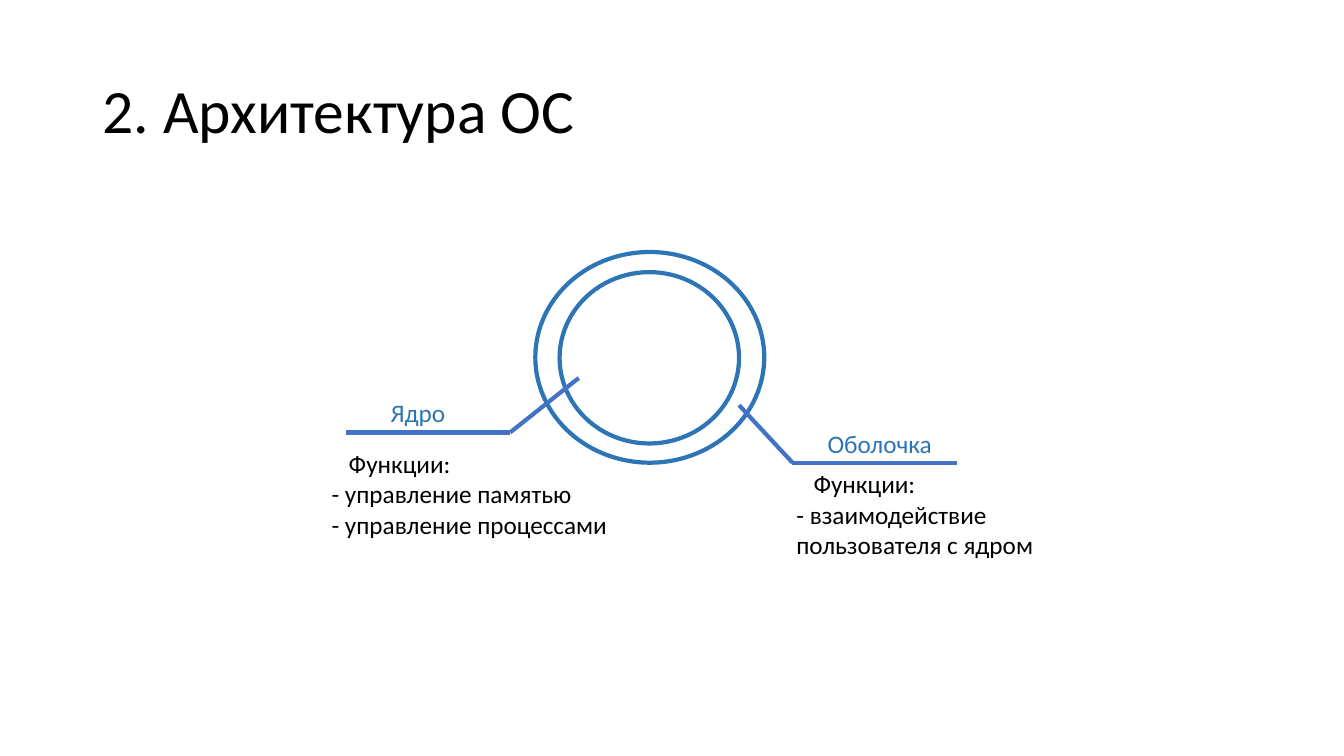
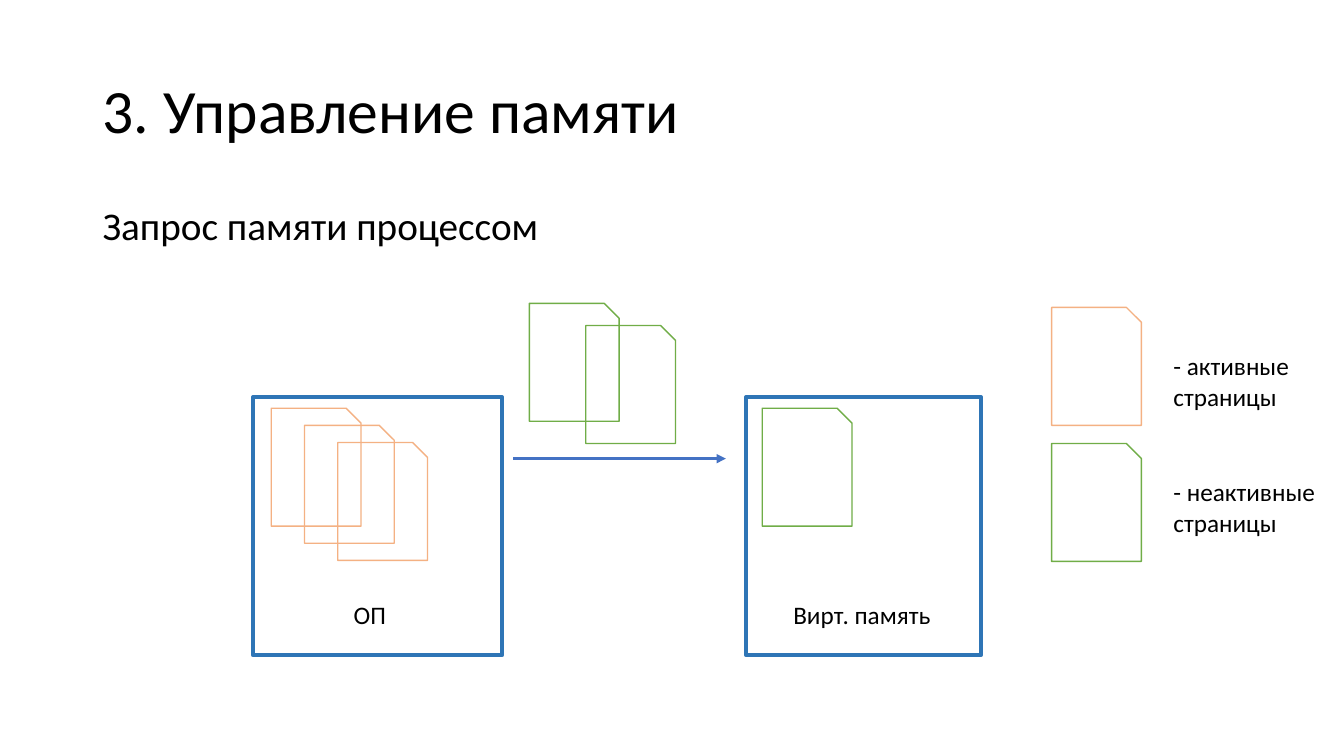
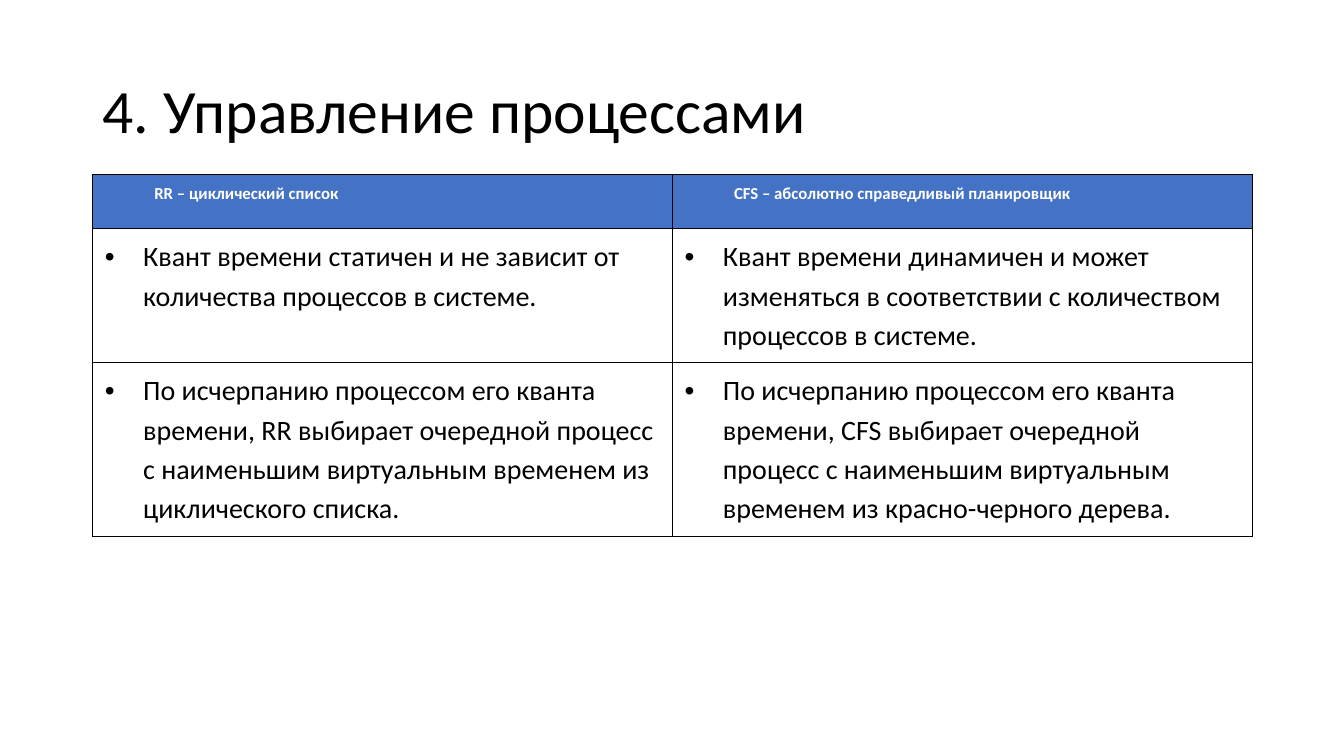
"""Builds three slides on operating system structure, memory and processes."""
from lxml.etree import SubElement
from pptx import Presentation
from pptx.dml.color import RGBColor
from pptx.enum.shapes import MSO_CONNECTOR, MSO_SHAPE
from pptx.enum.text import MSO_ANCHOR, PP_ALIGN
from pptx.oxml.ns import qn
from pptx.util import Inches, Pt

THEME = {
    "font": "Calibri",
    "black": "000000", "white": "FFFFFF", "blue": "2E75B6",
    "accent": "4472C4", "peach": "F4B183", "green": "70AD47",
    "title": 44, "body": 28, "label": 18, "cell": 20, "head": 12,
    "thick": 3, "arrow": 2.25, "thin": 1,
}

TITLES = ["2. Архитектура ОС", "3. Управление памяти", "4. Управление процессами"]

RINGS = [(5.31, 2.5, 2.27, 2.09), (5.55, 2.7, 1.78, 1.7)]
PARTS = [
    {"name": "Ядро", "tag": (3.59, 3.89, 1.11, 0.4),
     "path": [(5.74, 3.75), (5.06, 4.29), (3.43, 4.29)],
     "box": (3.19, 4.4, 3.02, 1.01),
     "jobs": ["- управление памятью", "- управление процессами"]},
    {"name": "Оболочка", "tag": (8, 4.2, 1.45, 0.4),
     "path": [(7.33, 4.02), (7.86, 4.59), (9.49, 4.59)],
     "box": (7.8, 4.6, 3.02, 1.01),
     "jobs": ["- взаимодействие пользователя с ядром"]},
]

REQUEST = "Запрос памяти процессом"
STORES = [("ОП", (2.51, 3.94, 2.47, 2.56), 3.41),
          ("Вирт. память", (7.4, 3.94, 2.33, 2.56), 7.77)]
PAGE = (0.89, 1.17)
STACKS = [
    ("peach", 3, (2.69, 4.05), (0.33, 0.17)),
    ("green", 1, (7.56, 4.05), (0, 0)),
    ("green", 2, (5.25, 3.01), (0.56, 0.22)),
    ("peach", 1, (10.43, 3.05), (0, 0)),
    ("green", 1, (10.43, 4.4), (0, 0)),
]
LEGEND = [(3.43, ["- активные", "страницы"]), (4.68, ["- неактивные", "страницы"])]

HEADS = ["RR – циклический список", "CFS – абсолютно справедливый планировщик"]
ROWS = [
    ["Квант времени статичен и не зависит от количества процессов в системе.",
     "Квант времени динамичен и может изменяться в соответствии с количеством процессов в системе."],
    ["По исчерпанию процессом его кванта времени, RR выбирает очередной процесс с наименьшим виртуальным временем из циклического списка.",
     "По исчерпанию процессом его кванта времени, CFS выбирает очередной процесс с наименьшим виртуальным временем из красно-черного дерева."],
]
HEIGHTS = [0.54, 1.33, 1.72]


def color(name):
    return RGBColor.from_string(THEME[name])


def apply(item, values):
    for key, value in values.items():
        setattr(item, key, value)


def place(box):
    return [Inches(v) for v in box]


def write(para, text, size, ink="black", bold=False, **format):
    run = para.add_run()
    run.text = text
    apply(run.font, {"name": THEME["font"], "size": Pt(THEME[size]), "bold": bold})
    run.font.color.rgb = color(ink)
    apply(para, format)


def indent(para, left, first):
    props = para._p.get_or_add_pPr()
    props.set("marL", str(Inches(left)))
    props.set("indent", str(Inches(first)))
    return props


def add_text(slide, box, lines, size="label", ink="black", anchor=MSO_ANCHOR.TOP, **format):
    frame = slide.shapes.add_textbox(*place(box)).text_frame
    apply(frame, {"word_wrap": True, "vertical_anchor": anchor})
    for i, line in enumerate(lines):
        para = frame.add_paragraph() if i else frame.paragraphs[0]
        write(para, line, size, ink, **format)
    return frame


def add_shape(slide, kind, box, ink, width):
    shape = slide.shapes.add_shape(kind, *place(box))
    shape.shadow.inherit = False
    shape.fill.background()
    shape.line.color.rgb = color(ink)
    shape.line.width = Pt(THEME[width])


def add_line(slide, start, end, width="thick", arrow=False):
    line = slide.shapes.add_connector(MSO_CONNECTOR.STRAIGHT, *place(start + end))
    line.line.color.rgb = color("accent")
    line.line.width = Pt(THEME[width])
    if arrow:
        SubElement(line.line._get_or_add_ln(), qn("a:tailEnd"), type="triangle")
    SubElement(line._element.spPr, qn("a:effectLst"))


def add_slide(deck, title):
    slide = deck.slides.add_slide(deck.slide_layouts[6])
    add_text(slide, (0.92, 0.4, 11.5, 1.45), [title], "title",
             anchor=MSO_ANCHOR.MIDDLE, line_spacing=0.9)
    return slide


def draw_parts(slide):
    for ring in RINGS:
        add_shape(slide, MSO_SHAPE.FLOWCHART_CONNECTOR, ring, "blue", "thick")
    for part in PARTS:
        add_text(slide, part["tag"], [part["name"]], ink="blue", alignment=PP_ALIGN.CENTER)
        for start, end in zip(part["path"], part["path"][1:]):
            add_line(slide, start, end)
        frame = add_text(slide, part["box"], ["Функции:"] + part["jobs"])
        indent(frame.paragraphs[0], 0.17, 0)


def draw_memory(slide):
    add_text(slide, (0.92, 2, 11.5, 0.6), [REQUEST], "body", line_spacing=0.9)
    for name, box, left in STORES:
        add_shape(slide, MSO_SHAPE.RECTANGLE, box, "blue", "thick")
        add_text(slide, (left, 5.9, 1.7, 0.4), [name])
    for ink, count, (left, top), (dx, dy) in STACKS:
        for i in range(count):
            add_shape(slide, MSO_SHAPE.SNIP_1_RECTANGLE,
                      (left + i * dx, top + i * dy) + PAGE, ink, "thin")
    add_line(slide, (5.09, 4.55), (7.2, 4.55), "arrow", arrow=True)
    for top, lines in LEGEND:
        add_text(slide, (11.54, top, 1.71, 0.71), lines)


def add_border(cell):
    props = cell._tc.get_or_add_tcPr()
    for side in ("lnL", "lnR", "lnT", "lnB"):
        edge = SubElement(props, qn("a:" + side), w=str(Pt(THEME["thin"])))
        fill = SubElement(edge, qn("a:solidFill"))
        SubElement(fill, qn("a:srgbClr"), val=THEME["black"])


def add_bullet(para):
    props = indent(para, 0.38, -0.38)
    SubElement(props, qn("a:buFont"), typeface="Arial")
    SubElement(props, qn("a:buChar"), char="•")
    tabs = SubElement(props, qn("a:tabLst"))
    SubElement(tabs, qn("a:tab"), pos=str(Inches(0.5)), algn="l")


def draw_table(slide):
    box = (0.92, 1.73, 11.5, sum(HEIGHTS))
    table = slide.shapes.add_table(len(HEIGHTS), len(HEADS), *place(box)).table
    apply(table, {"first_row": False, "horz_banding": False})
    margins = {"margin_left": Inches(0.12), "margin_right": Inches(0.12),
               "margin_top": Inches(0.06), "margin_bottom": Inches(0.09)}
    for r, texts in enumerate([HEADS] + ROWS):
        table.rows[r].height = Inches(HEIGHTS[r])
        for c, text in enumerate(texts):
            cell = table.cell(r, c)
            apply(cell, margins)
            add_border(cell)
            para = cell.text_frame.paragraphs[0]
            if r == 0:
                cell.fill.solid()
                cell.fill.fore_color.rgb = color("accent")
                indent(para, 0, 0.49)
                write(para, text, "head", "white", True, line_spacing=1.15)
            else:
                cell.fill.background()
                add_bullet(para)
                write(para, text, "cell", line_spacing=1.15)


def main():
    deck = Presentation()
    apply(deck, {"slide_width": Inches(13.33), "slide_height": Inches(7.5)})
    for title, draw in zip(TITLES, (draw_parts, draw_memory, draw_table)):
        draw(add_slide(deck, title))
    deck.save("out.pptx")


if __name__ == "__main__":
    main()
